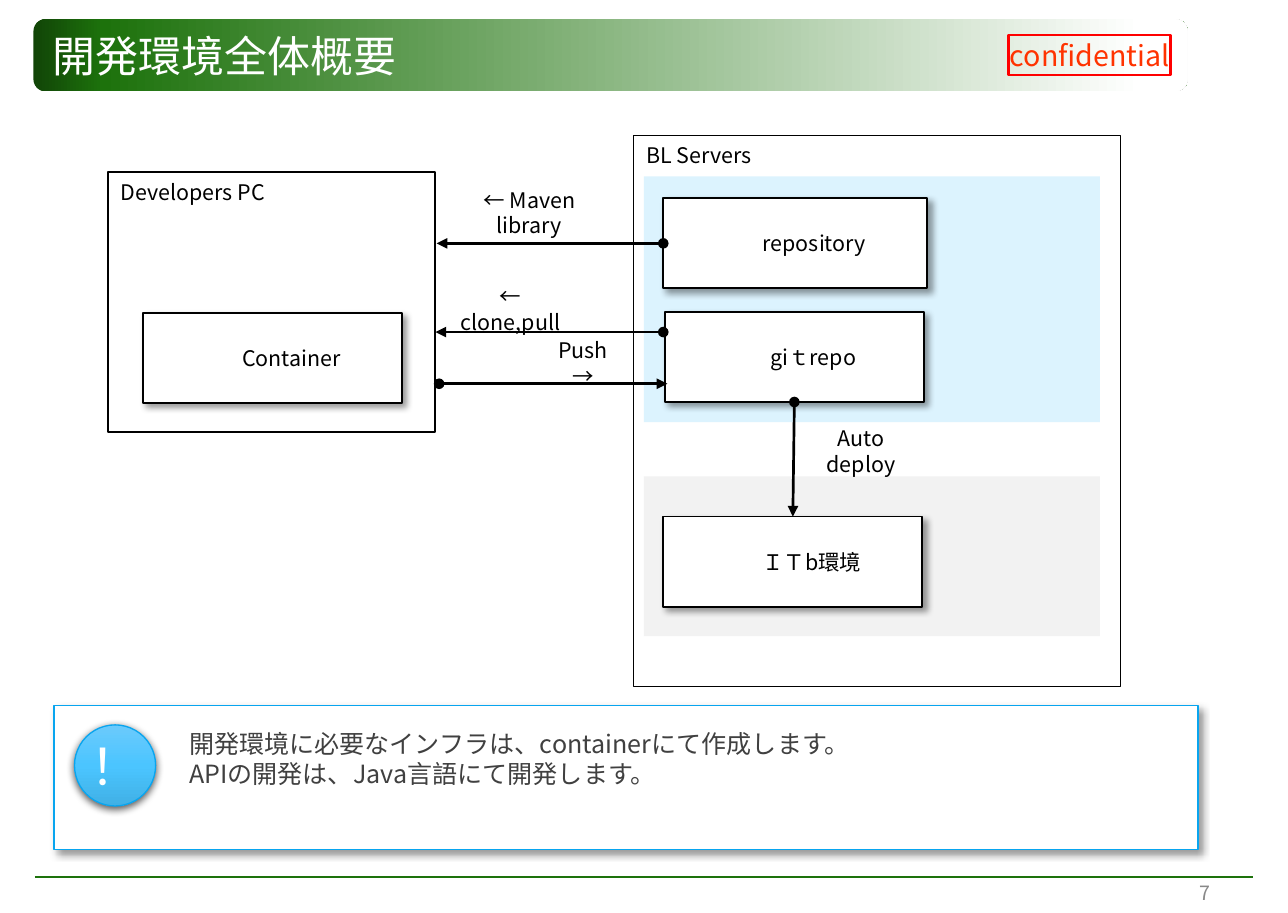
from lxml import etree
from pptx import Presentation
from pptx.dml.color import RGBColor
from pptx.enum.shapes import MSO_CONNECTOR, MSO_SHAPE
from pptx.enum.text import MSO_ANCHOR, PP_ALIGN
from pptx.oxml.ns import qn
from pptx.util import Cm, Pt

RECT, ROUND, OVAL = MSO_SHAPE.RECTANGLE, MSO_SHAPE.ROUNDED_RECTANGLE, MSO_SHAPE.OVAL
STRAIGHT = MSO_CONNECTOR.STRAIGHT
TOP, MIDDLE = MSO_ANCHOR.TOP, MSO_ANCHOR.MIDDLE
LEFT, CENTER, RIGHT = PP_ALIGN.LEFT, PP_ALIGN.CENTER, PP_ALIGN.RIGHT

BLACK = RGBColor(0x00, 0x00, 0x00)
WHITE = RGBColor(0xFF, 0xFF, 0xFF)
GREEN = RGBColor(0x1D, 0x72, 0x0C)
DARK_GREEN = RGBColor(0x11, 0x45, 0x07)
RED = RGBColor(0xFF, 0x00, 0x00)
ORANGE = RGBColor(0xFF, 0x33, 0x00)
PALE_GRAY = RGBColor(0xF2, 0xF2, 0xF2)
PALE_BLUE = RGBColor(0xDC, 0xF3, 0xFE)
BLUE = RGBColor(0x08, 0xA5, 0xEF)
PAGE_GRAY = RGBColor(0x89, 0x89, 0x89)
NOTE_GRAY = RGBColor(0x40, 0x40, 0x40)

FONT, BADGE_FONT = "Noto Sans CJK JP", "Roboto Slab"
HEADER_STOPS = [(0, DARK_GREEN), (6, GREEN), (96, WHITE)]
BADGE_STOPS = [(0, RGBColor(0x6B, 0xCA, 0xFC)), (50, RGBColor(0x4B, 0xC5, 0xFF)),
               (100, RGBColor(0x40, 0xB0, 0xE5))]
# Shadows: opacity %, blur pt, distance pt, direction in degrees
BOX_SHADOW, BADGE_SHADOW = (40, 4, 3, 45), (63, 4.5, 1.5, 90)

# Content; all places are left, top, width, height in cm
TITLE = "開発環境全体概要"
NOTE = ["開発環境に必要なインフラは、containerにて作成します。",
        "APIの開発は、Java言語にて開発します。"]
FRAMES = [  # place, fill, line width, text
    ((12.5, 2.67, 9.6, 10.87), WHITE, 0.75, "BL Servers"),
    ((12.7, 9.4, 8.99, 3.15), PALE_GRAY, None, ""),
    ((12.7, 3.48, 8.99, 4.85), PALE_BLUE, None, ""),
    ((2.13, 3.4, 6.45, 5.13), WHITE, 1, "Developers PC"),
]
BOX_H = 1.78
BOXES = {  # name: left, top, width, text
    "git": (13.11, 6.15, 5.11, "giｔrepo"),
    "library": (13.08, 3.91, 5.21, "repository"),
    "itb": (13.08, 10.19, 5.11, "ＩＴb環境"),
    "container": (2.82, 6.17, 5.11, "Container"),
}
ARROWS = [  # from x, y, to x, y, joined box and side at each end
    (13.08, 4.8, 8.61, 4.8, ("library", 1), None),
    (13.08, 6.55, 8.59, 6.55, None, None),
    (8.66, 7.57, 13.16, 7.57, None, None),
    (15.66, 7.93, 15.64, 10.19, ("git", 2), ("itb", 0)),
]
LABEL_H = 0.76
LABELS = [  # left, top, width, text
    (8.66, 3.81, 3.56, "← Maven library"),
    (8.66, 5.72, 2.82, "← clone,pull"),
    (10.52, 6.78, 1.96, "Push →"),
    (15.62, 8.51, 2.72, "Auto deploy"),
]

prs = Presentation()
prs.slide_width, prs.slide_height = Cm(25.4), Cm(18.01)
s = prs.slides.add_slide(prs.slide_layouts[6])


def add_text(sp, lines, size, color, align=CENTER, font=FONT, spacing=None, **frame):
    tf = sp.text_frame
    for name, value in {"vertical_anchor": MIDDLE, "word_wrap": False, **frame}.items():
        setattr(tf, name, value)
    for i, line in enumerate(lines):
        p = tf.paragraphs[0] if i == 0 else tf.add_paragraph()
        p.alignment = align
        if spacing:
            p.line_spacing = Pt(size * spacing)
        r = p.add_run()
        r.text = line
        r.font.size, r.font.name, r.font.color.rgb = Pt(size), font, color
        etree.SubElement(r.font._element, qn("a:ea"), typeface=font)


def add_box(place, kind=RECT, fill=None, line=None, width=1, shadow=None):
    sp = s.shapes.add_shape(kind, *map(Cm, place))
    sp.shadow.inherit = False
    if fill is None:
        sp.fill.background()
    else:
        sp.fill.solid()
        sp.fill.fore_color.rgb = fill
    if line is None:
        sp.line.fill.background()
    else:
        sp.line.color.rgb, sp.line.width = line, Pt(width)
    if shadow:
        alpha, blur, dist, angle = shadow
        effects = sp._element.spPr.find(qn("a:effectLst"))
        outer = etree.SubElement(effects, qn("a:outerShdw"), blurRad=str(Pt(blur)),
                                 dist=str(Pt(dist)), dir=str(angle * 60000),
                                 algn="ctr", rotWithShape="0")
        color = etree.SubElement(outer, qn("a:srgbClr"), val=str(BLACK))
        etree.SubElement(color, qn("a:alpha"), val=str(alpha * 1000))
    return sp


def set_gradient(sp, stops, angle):
    sp.fill.gradient()
    sp.fill.gradient_angle = angle
    stop_list = sp._element.spPr.find(qn("a:gradFill")).find(qn("a:gsLst"))
    for old in list(stop_list):
        stop_list.remove(old)
    for pos, color in stops:
        gs = etree.SubElement(stop_list, qn("a:gs"), pos=str(pos * 1000))
        etree.SubElement(gs, qn("a:srgbClr"), val=str(color))


def add_line(x1, y1, x2, y2, color):
    line = s.shapes.add_connector(STRAIGHT, Cm(x1), Cm(y1), Cm(x2), Cm(y2))
    line.line.color.rgb, line.line.width = color, Pt(1.5)
    etree.SubElement(line._element.spPr, qn("a:effectLst"))
    return line


def add_label(place, lines, size, color, **options):
    add_text(s.shapes.add_textbox(*map(Cm, place)), lines, size, color,
             **{"word_wrap": True, **options})


# Header, footer rule and confidential mark
header = add_box((0.66, 0.38, 22.76, 1.42), ROUND)
set_gradient(header, HEADER_STOPS, 0)
add_line(0.69, 17.3, 24.71, 17.3, GREEN)
mark = add_box((19.89, 0.69, 3.2, 0.79), line=RED, width=1.5)
add_text(mark, ["confidential"], 16, ORANGE)

# Frames and zones
for place, fill, width, text in FRAMES:
    frame = add_box(place, fill=fill, line=BLACK if width else None, width=width)
    if text:
        add_text(frame, [text], 12, BLACK, LEFT, vertical_anchor=TOP)

# Title and page number
add_label((0.79, 0.38, 22.86, 1.42), [TITLE], 24, WHITE, align=LEFT)
add_label((18.21, 17.42, 5.92, 0.38), ["7"], 11, PAGE_GRAY, align=RIGHT)

# System boxes
systems = {}
for name, (x, y, w, text) in BOXES.items():
    systems[name] = add_box((x, y, w, BOX_H), fill=WHITE, line=BLACK, shadow=BOX_SHADOW)
    add_text(systems[name], [text], 12, BLACK, margin_left=Cm(1))

# Arrows and their labels
for x1, y1, x2, y2, start, end in ARROWS:
    arrow = add_line(x1, y1, x2, y2, BLACK)
    if start:
        arrow.begin_connect(systems[start[0]], start[1])
    if end:
        arrow.end_connect(systems[end[0]], end[1])
    ln = arrow.line._get_or_add_ln()
    etree.SubElement(ln, qn("a:headEnd"), type="oval")
    etree.SubElement(ln, qn("a:tailEnd"), type="triangle")
for x, y, w, text in LABELS:
    add_label((x, y, w, LABEL_H), [text], 12, BLACK, spacing=1.2)

# Note with exclamation badge
add_box((1.07, 13.92, 22.56, 2.84), fill=WHITE, line=BLUE, shadow=BOX_SHADOW)
badge = add_box((1.47, 14.3, 1.6, 1.6), OVAL, line=BLUE, width=0.75, shadow=BADGE_SHADOW)
set_gradient(badge, BADGE_STOPS, 270)
add_text(badge, ["！"], 28, WHITE, font=BADGE_FONT, margin_left=0, margin_right=0,
         margin_top=0, margin_bottom=0)
add_label((3.48, 14.25, 19.79, 2.44), NOTE, 14, NOTE_GRAY, align=LEFT, spacing=1.2,
          vertical_anchor=TOP)

prs.save("out.pptx")
